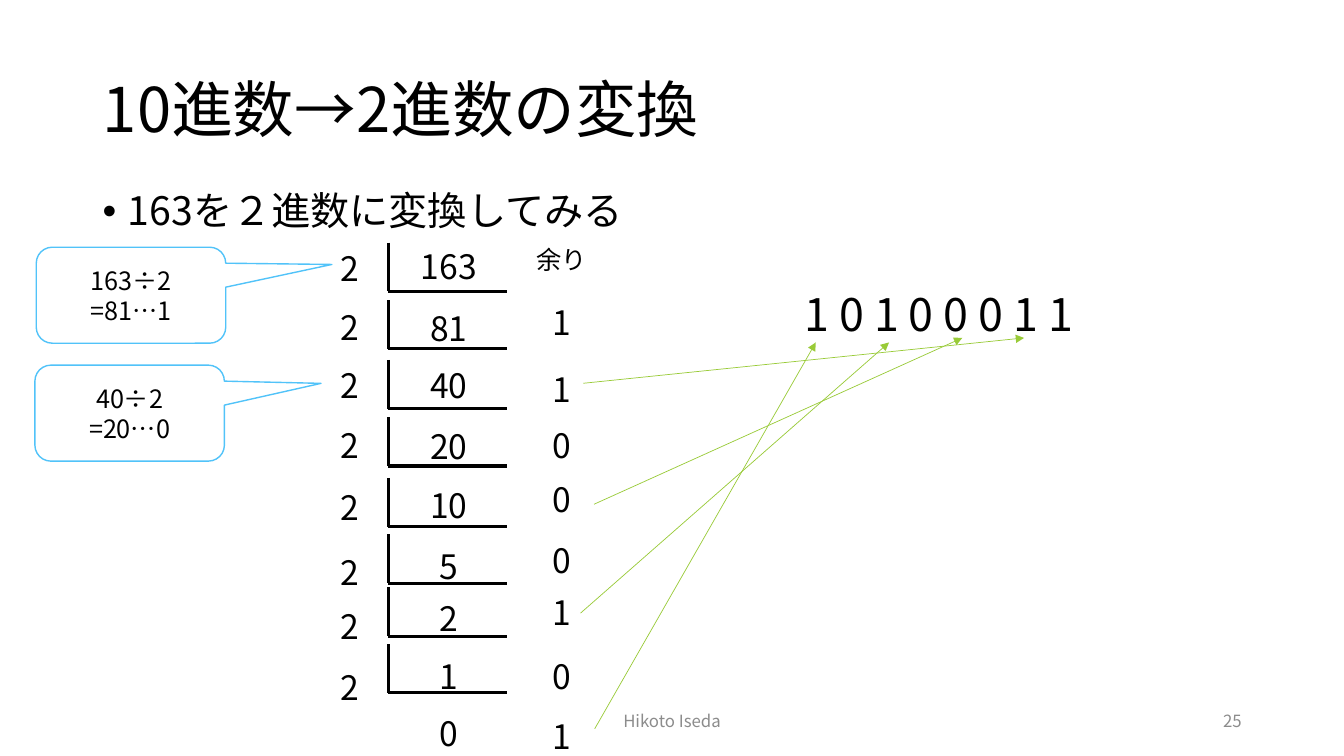
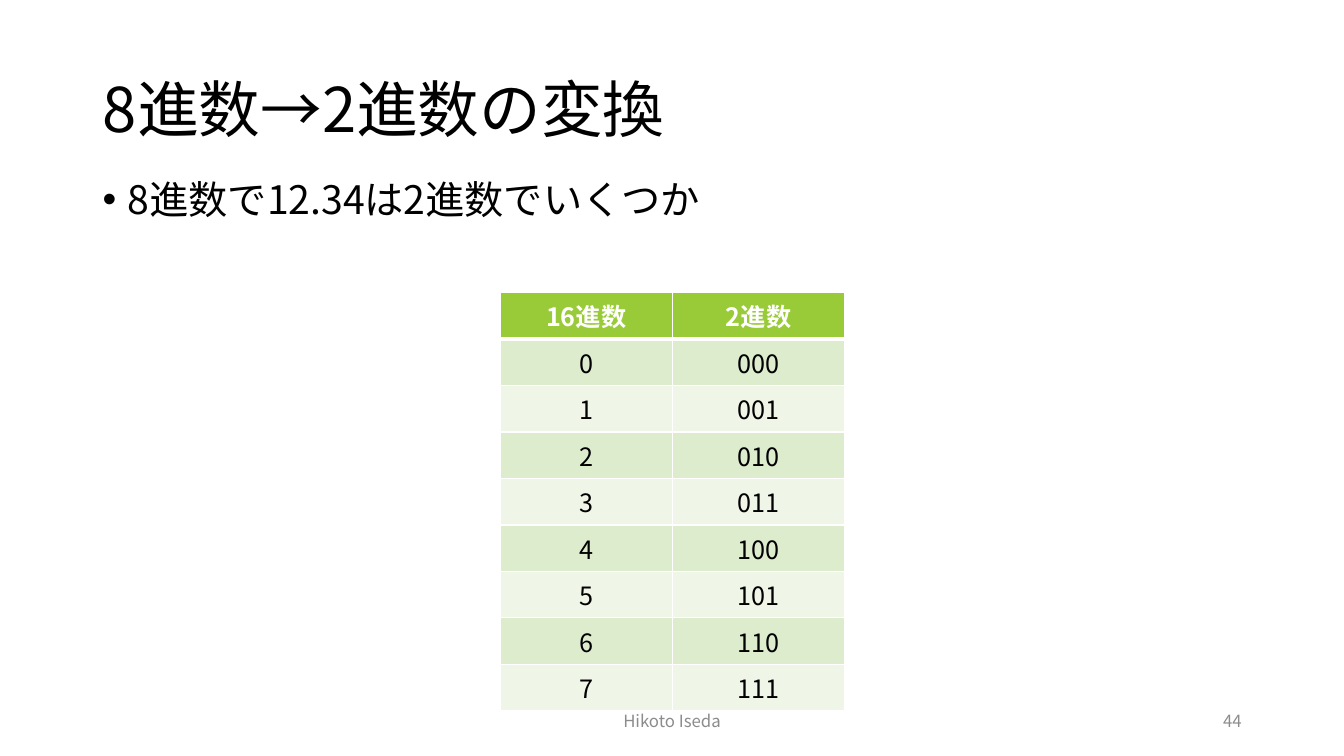
from pptx import Presentation
from pptx.dml.color import RGBColor
from pptx.enum.shapes import MSO_CONNECTOR, MSO_SHAPE
from pptx.enum.text import MSO_ANCHOR, MSO_AUTO_SIZE, PP_ALIGN
from pptx.oxml.ns import qn
from pptx.util import Inches, Pt
from lxml.etree import SubElement

BLACK = RGBColor(0x00, 0x00, 0x00)
WHITE = RGBColor(0xFF, 0xFF, 0xFF)
GRAY = RGBColor(0x8C, 0x8C, 0x8C)
GREEN = RGBColor(0x99, 0xCB, 0x38)
BLUE = RGBColor(0x51, 0xC3, 0xF9)
BANDS = (RGBColor(0xDE, 0xEC, 0xCE), RGBColor(0xEF, 0xF6, 0xE8))
FONT = "Noto Sans CJK JP"
AUTHOR = "Hikoto Iseda"


class Lesson:
    """Holds the style and the current slide; lengths are percent of the slide."""

    def __init__(self):
        self.deck = Presentation()
        self.deck.slide_width = Inches(13.33)
        self.deck.slide_height = Inches(7.5)
        self.page = None

    def across(self, share):
        return round(self.deck.slide_width * share / 100)

    def down(self, share):
        return round(self.deck.slide_height * share / 100)

    def area(self, left, top, width, height):
        return self.across(left), self.down(top), self.across(width), self.down(height)

    def style(self, para, size, color=BLACK, align=PP_ALIGN.LEFT, bold=False):
        para.alignment = align
        font = para.font
        font.name, font.size, font.bold = FONT, Pt(size), bold
        font.color.rgb = color
        defaults = para._p.pPr.find(qn("a:defRPr"))
        SubElement(defaults, qn("a:ea"), typeface=FONT)

    def start(self, title, number):
        """Add a slide with its title and footer."""
        self.page = self.deck.slides.add_slide(self.deck.slide_layouts[5])
        holder = self.page.shapes.title
        holder.left, holder.top, holder.width, holder.height = self.area(6.9, 5.3, 86.25, 19.3)
        frame = holder.text_frame
        frame.text = title
        frame.auto_size = MSO_AUTO_SIZE.NONE
        frame.vertical_anchor = MSO_ANCHOR.MIDDLE
        frame.paragraphs[0].line_spacing = 0.9
        self.style(frame.paragraphs[0], 44)
        self.text(AUTHOR, (33.13, 92.7, 33.75, 5.3), 12, GRAY, PP_ALIGN.CENTER, MSO_ANCHOR.MIDDLE)
        self.text(str(number), (70.63, 92.7, 22.5, 5.3), 12, GRAY, PP_ALIGN.RIGHT, MSO_ANCHOR.MIDDLE)

    def text(self, words, area, size, color=BLACK, align=PP_ALIGN.LEFT, anchor=MSO_ANCHOR.TOP):
        box = self.page.shapes.add_textbox(*self.area(*area))
        frame = box.text_frame
        frame.word_wrap = True
        frame.vertical_anchor = anchor
        frame.text = words
        self.style(frame.paragraphs[0], size, color, align)

    def label(self, words, center, top, size=24):
        """Short text centred on a column."""
        width = 6
        self.text(words, (center - width / 2, top, width, 6.7), size, align=PP_ALIGN.CENTER)

    def bullet(self, words, area):
        box = self.page.shapes.add_textbox(*self.area(*area))
        box.text_frame.word_wrap = True
        para = box.text_frame.paragraphs[0]
        para.text = words
        para.line_spacing = 0.9
        properties = para._p.get_or_add_pPr()
        properties.set("marL", str(Inches(0.25)))
        properties.set("indent", str(-Inches(0.25)))
        SubElement(properties, qn("a:buFont"), typeface="Arial")
        SubElement(properties, qn("a:buChar"), char="•")
        self.style(para, 28)

    def line(self, start, end, color, weight, arrow=False):
        link = self.page.shapes.add_connector(
            MSO_CONNECTOR.STRAIGHT, self.across(start[0]), self.down(start[1]),
            self.across(end[0]), self.down(end[1]))
        link.line.color.rgb = color
        link.line.width = Pt(weight)
        if arrow:
            SubElement(link.line._get_or_add_ln(), qn("a:tailEnd"), type="triangle")
        SubElement(link._element.spPr, qn("a:effectLst"))

    def bracket(self, left, top, width=8.8, height=6.45):
        """Long-division bracket: an upright and a base line."""
        corner = (left, top + height)
        self.line((left, top), corner, BLACK, 2.25)
        self.line((left + width, top + height), corner, BLACK, 2.25)

    def callout(self, lines, left, top, pointer):
        shape = self.page.shapes.add_shape(
            MSO_SHAPE.ROUNDED_RECTANGULAR_CALLOUT, *self.area(left, top, 14.1, 12.7))
        shape.shadow.inherit = False
        shape.adjustments[0], shape.adjustments[1] = pointer
        shape.fill.solid()
        shape.fill.fore_color.rgb = WHITE
        shape.line.color.rgb = BLUE
        shape.line.width = Pt(1)
        frame = shape.text_frame
        frame.text = "\n".join(lines)
        frame.vertical_anchor = MSO_ANCHOR.MIDDLE
        for para in frame.paragraphs:
            self.style(para, 18, align=PP_ALIGN.CENTER)

    def borders(self, cell, top, bottom):
        properties = cell._tc.get_or_add_tcPr()
        for side, weight in (("L", 1), ("R", 1), ("T", top), ("B", bottom)):
            edge = SubElement(properties, qn(f"a:ln{side}"), w=str(Pt(weight)))
            fill = SubElement(edge, qn("a:solidFill"))
            SubElement(fill, qn("a:srgbClr"), val=str(WHITE))

    def table(self, rows, left, top, column_width, row_height):
        columns = len(rows[0])
        area = self.area(left, top, column_width * columns, row_height * len(rows))
        grid = self.page.shapes.add_table(len(rows), columns, *area).table
        grid.horz_banding = False
        for r, row in enumerate(rows):
            header = r == 0
            for c, words in enumerate(row):
                cell = grid.cell(r, c)
                self.borders(cell, 3 if r == 1 else 1, 3 if header else 1)
                cell.fill.solid()
                cell.fill.fore_color.rgb = GREEN if header else BANDS[(r - 1) % 2]
                cell.text = words
                self.style(cell.text_frame.paragraphs[0], 18,
                           WHITE if header else BLACK, PP_ALIGN.CENTER, header)


def decimal_to_binary(lesson):
    lesson.start("10進数→2進数の変換", 25)
    lesson.bullet("163を２進数に変換してみる", (6.9, 24.7, 86.25, 8.7))

    # Repeated division: tops of bracket, divisor, dividend and the remainder below
    divisor_column, bracket_column, number_column, remainder_column = 26, 28.9, 33.4, 41.8
    steps = [
        (32.1, 32.1, 31.9, 39.3),
        (39.7, 39.9, 40.1, 48.1),
        (47.6, 47.6, 47.6, 55.6),
        (55.2, 55.6, 55.7, 62.7),
        (63.2, 63.7, 63.5, 70.8),
        (70.7, 72.4, 71.5, 77.7),
        (77.7, 79.5, 78.4, 86.1),
        (85.2, 87.5, 86.1, 94),
    ]
    number = 163
    lesson.label("余り", remainder_column, 31.7, 18)
    for bracket_top, divisor_top, number_top, remainder_top in steps:
        lesson.bracket(bracket_column, bracket_top)
        lesson.label("2", divisor_column, divisor_top)
        lesson.label(str(number), number_column, number_top)
        number, remainder = divmod(number, 2)
        lesson.label(str(remainder), remainder_column, remainder_top)
    lesson.label(str(number), number_column, 93.7)

    # Remainders read from the bottom up
    lesson.text("1 0 1 0 0 0 1 1", (59.1, 37.2, 23.2, 8.5), 32)
    for start, end in (
        ((44.25, 96.4), (60.7, 45.3)),
        ((43.2, 81.1), (66.15, 45.3)),
        ((44.2, 66.7), (71.6, 44.7)),
        ((43.4, 50.7), (76.2, 44.7)),
    ):
        lesson.line(start, end, GREEN, 0.5, arrow=True)

    # Worked divisions
    lesson.callout(("163÷2", "=81…1"), 2.7, 32.7, (1.06, -0.32))
    lesson.callout(("40÷2", "=20…0"), 2.6, 48.3, (1.01, -0.31))


def octal_to_binary(lesson):
    lesson.start("8進数→2進数の変換", 44)
    lesson.bullet("8進数で12.34は2進数でいくつか", (6.9, 23.2, 91.3, 63.5))
    digits = [(str(digit), f"{digit:03b}") for digit in range(8)]
    lesson.table([("16進数", "2進数")] + digits, 37.2, 38.7, 12.83, 6.15)


def main():
    lesson = Lesson()
    decimal_to_binary(lesson)
    octal_to_binary(lesson)
    lesson.deck.save("out.pptx")


if __name__ == "__main__":
    main()
